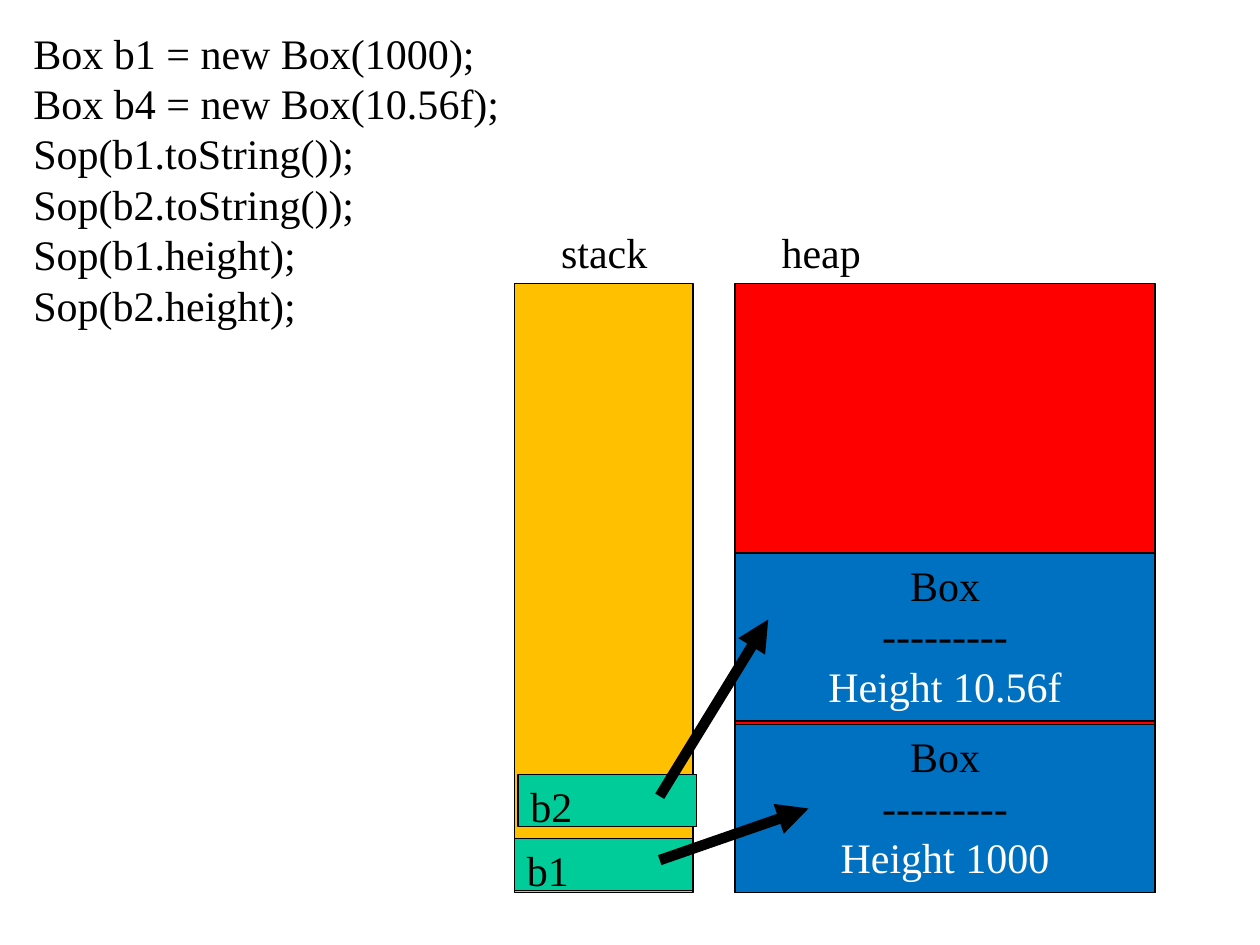
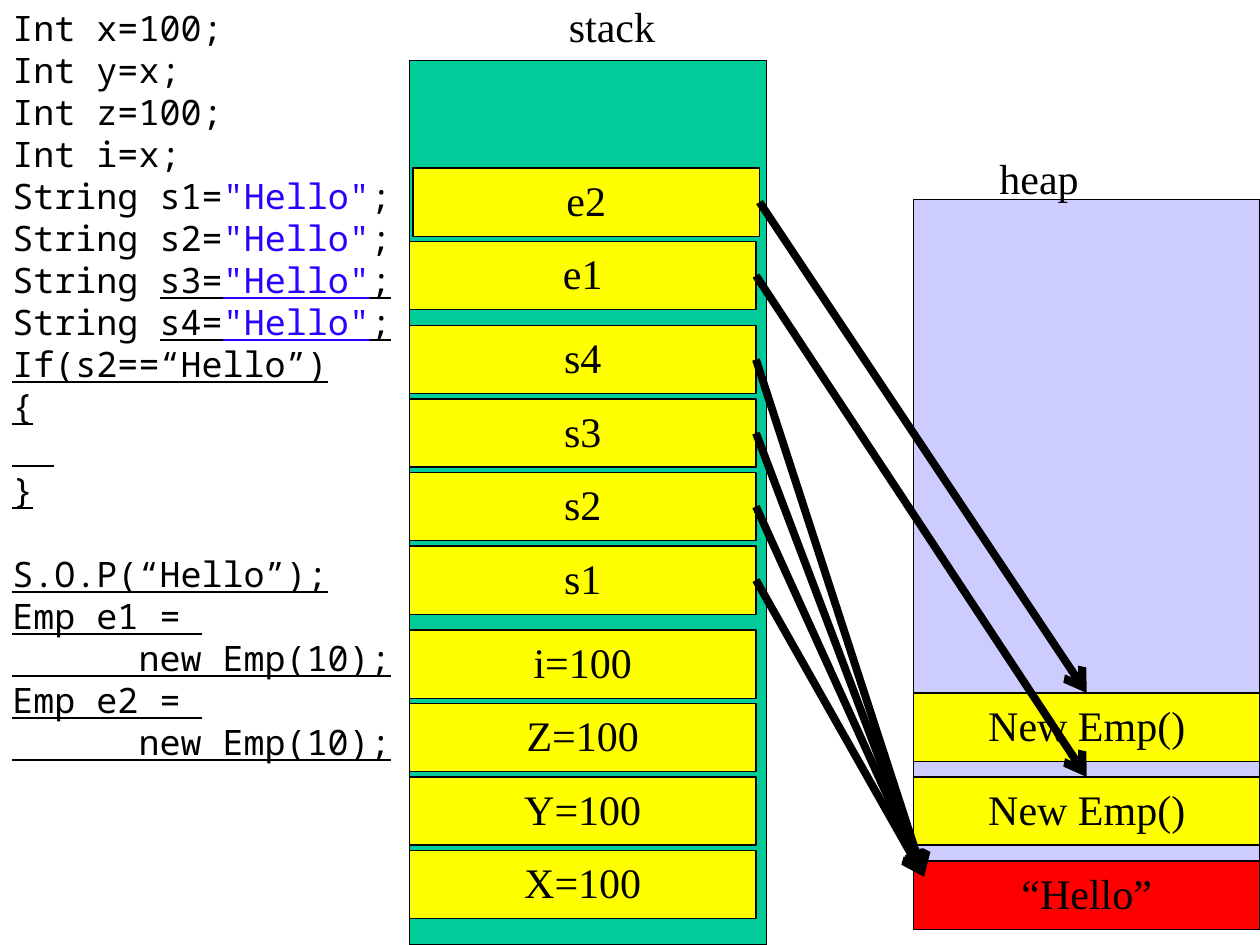
import pptx
import pptx.util
import pptx.dml.color
import pptx.enum.shapes
import pptx.enum.text
import pptx.oxml.ns
from lxml import etree

Pt = pptx.util.Pt
RGB = pptx.dml.color.RGBColor
ALIGN = pptx.enum.text.PP_ALIGN
TOP = pptx.enum.text.MSO_ANCHOR.TOP
RECT = pptx.enum.shapes.MSO_SHAPE.RECTANGLE
LINE = pptx.enum.shapes.MSO_CONNECTOR.STRAIGHT
qn = pptx.oxml.ns.qn

BLACK = RGB(0x00, 0x00, 0x00)
WHITE = RGB(0xFF, 0xFF, 0xFF)
AMBER = RGB(0xFF, 0xC0, 0x00)
RED = RGB(0xFF, 0x00, 0x00)
GREEN = RGB(0x00, 0xCC, 0x99)
BLUE = RGB(0x00, 0x70, 0xC0)
LILAC = RGB(0xCC, 0xCC, 0xFF)
YELLOW = RGB(0xFF, 0xFF, 0x00)
QUOTE = RGB(0x2A, 0x00, 0xFF)

SERIF = {"name": "Times New Roman", "size": Pt(24)}
MONO = {"name": "Noto Sans Mono", "size": Pt(20)}
INSET = {"margin_left": Pt(7.2), "margin_right": Pt(7.2),
         "margin_top": Pt(3.6), "margin_bottom": Pt(3.6),
         "vertical_anchor": TOP, "word_wrap": True}
UNDER = {"underline": True}
GAP = "gap"


def apply(target, form):
    for key, value in form.items():
        setattr(target, key, value)


def write(shape, lines, font, align=ALIGN.LEFT):
    """Fill a shape; a line is a list of (text, colour, format) runs, or GAP."""
    frame = shape.text_frame
    apply(frame, INSET)
    pitch = Pt(font["size"].pt * 1.2)
    para, space = None, Pt(0)
    for line in lines:
        if line == GAP:
            space = pitch
            continue
        para = frame.add_paragraph() if para else frame.paragraphs[0]
        apply(para, {"alignment": align, "line_spacing": pitch,
                     "space_before": space})
        space = Pt(0)
        for text, color, form in line:
            run = para.add_run()
            run.text = text
            apply(run.font, {**font, **form})
            run.font.color.rgb = color


def plain(*texts, color=BLACK, form={}):
    return [[(text, color, form)] for text in texts]


def block(slide, box, fill, lines=(), align=ALIGN.CENTER):
    shape = slide.shapes.add_shape(RECT, *map(Pt, box))
    shape.shadow.inherit = False
    shape.fill.solid()
    shape.fill.fore_color.rgb = fill
    shape.line.color.rgb = BLACK
    shape.line.width = Pt(0.75)
    write(shape, lines, SERIF, align)


def note(slide, box, lines, font=SERIF):
    write(slide.shapes.add_textbox(*map(Pt, box)), lines, font)


def arrow(slide, start, end, width, head):
    link = slide.shapes.add_connector(LINE, *map(Pt, start + end))
    link.line.color.rgb = BLACK
    link.line.width = Pt(width)
    props = link.element.spPr
    etree.SubElement(props.find(qn("a:ln")), qn("a:tailEnd"), type=head)
    etree.SubElement(props, qn("a:effectLst"))


def region(slide, box, fill, name, dx, dy):
    """Draw a memory area with its name at an offset from its corner."""
    block(slide, box, fill)
    note(slide, (box[0] + dx, box[1] + dy, 68, 36), plain(name))


def boxes(slide, stack, heap):
    """Two references in the stack, each with its object in the heap."""
    region(slide, stack, AMBER, "stack", 19.5, -36)
    region(slide, heap, RED, "heap", 19.5, -36)
    left, top, width, height = stack
    base = top + height
    x, _, wide, _ = heap
    # name, height, shift, rise of reference, rise of object, arrow end
    rows = [("b1", "1000", 0, 31, 96, (42, 48)),
            ("b2", "10.56f", 2, 67.5, 194, (19, 38))]
    for name, size, shift, rise, lift, (dx, dy) in rows:
        block(slide, (left + shift, base - rise, width, 30), GREEN,
              plain(name), ALIGN.LEFT)
        block(slide, (x, base - lift, wide, 96), BLUE,
              plain("Box", "---------")
              + plain("Height " + size, color=WHITE))
        arrow(slide, (left + 83, base - rise + 12.5),
              (x + dx, base - lift + dy), 6, "triangle")


def cells(slide, stack, heap):
    """Variables stacked upward in groups, with arrows to heap objects."""
    region(slide, stack, GREEN, "stack", 84, -37.5)
    region(slide, heap, LILAC, "heap", 42, -30.5)
    wide, tall = 198, 39
    x, top, _, height = heap
    floor = top + height - 36
    objects = [("“Hello”", RED), ("New Emp()", YELLOW), ("New Emp()", YELLOW)]
    for i, (text, fill) in enumerate(objects):
        block(slide, (x, floor - 48 * i, wide, tall), fill, plain(text))

    text_end = (x + 6, floor + 9)
    ends = {name: text_end for name in ("s1", "s2", "s3", "s4")}
    ends["e1"] = (x + wide / 2, floor - 48)
    ends["e2"] = (x + wide / 2, floor - 96)
    groups = [("X=100", "Y=100", "Z=100", "i=100"),
              ("s1", "s2", "s3", "s4"), ("e1", "e2")]
    y = stack[1] + stack[3] - 54
    for group in groups:
        for name in group:
            left = stack[0] + (2 if name == "e2" else 0)
            block(slide, (left, y, wide, tall), YELLOW, plain(name))
            if name in ends:
                arrow(slide, (left + wide, y + tall / 2), ends[name],
                      4.5, "arrow")
            y -= 42
        y -= 6


def assign(name, form):
    """A code line that gives a string variable its value."""
    return [("String ", BLACK, {}), (name + "=", BLACK, form),
            ('"Hello"', QUOTE, form), (";", BLACK, form)]


def main():
    deck = pptx.Presentation()
    deck.slide_width, deck.slide_height = Pt(720), Pt(540)
    blank = deck.slide_layouts[6]

    slide = deck.slides.add_slide(blank)
    note(slide, (12, 12, 290, 180), plain(
        "Box b1 = new Box(1000);", "Box b4 = new Box(10.56f);",
        "Sop(b1.toString());", "Sop(b2.toString());",
        "Sop(b1.height);", "Sop(b2.height);"))
    boxes(slide, (294, 162, 102, 348), (420, 162, 240, 348))

    slide = deck.slides.add_slide(blank)
    cells(slide, (234, 34.5, 204, 505.5), (522, 114, 198, 414))
    code = plain("Int x=100;", "Int y=x;", "Int z=100;", "Int i=x;")
    code += [assign("s1", {}), assign("s2", {}),
             assign("s3", UNDER), assign("s4", UNDER)]
    code += plain("If(s2==“Hello”)", "{", "  ", "}", form=UNDER)
    code += [GAP]
    code += plain("S.O.P(“Hello”);",
                  "Emp e1 = ", "      new Emp(10);",
                  "Emp e2 = ", "      new Emp(10);", form=UNDER)
    note(slide, (0, 0, 240, 440), code, MONO)
    deck.save("out.pptx")


if __name__ == "__main__":
    main()
